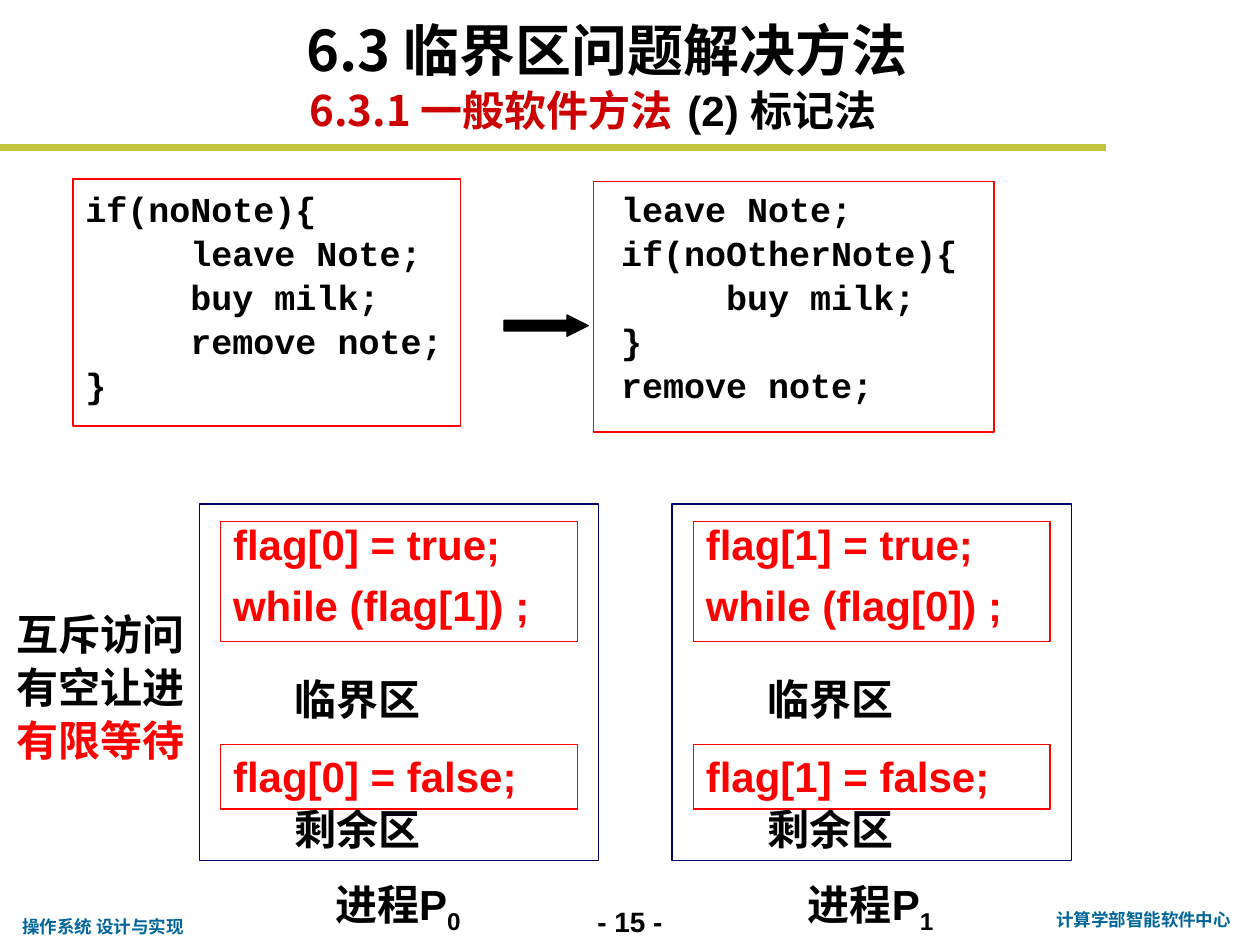
from dataclasses import dataclass

from lxml import etree
from pptx import Presentation
from pptx.dml.color import RGBColor
from pptx.enum.shapes import MSO_CONNECTOR, MSO_SHAPE
from pptx.enum.text import MSO_ANCHOR, MSO_AUTO_SIZE, PP_ALIGN
from pptx.oxml.ns import qn
from pptx.util import Cm, Pt

LEFT, CENTER = PP_ALIGN.LEFT, PP_ALIGN.CENTER
TOP, MIDDLE, BOTTOM = MSO_ANCHOR.TOP, MSO_ANCHOR.MIDDLE, MSO_ANCHOR.BOTTOM
RECTANGLE, RIGHT_ARROW = MSO_SHAPE.RECTANGLE, MSO_SHAPE.RIGHT_ARROW
STRAIGHT = MSO_CONNECTOR.STRAIGHT
NO_AUTOFIT = MSO_AUTO_SIZE.NONE


@dataclass(frozen=True)
class Theme:
    ink: str = "000000"
    red: str = "FF0000"
    dark_red: str = "CC0000"
    navy: str = "000066"
    footer: str = "006699"
    rule: str = "C1C43C"
    body_font: str = "Arial"
    code_font: str = "Courier New"
    title_font: str = "Noto Sans CJK SC"
    footer_font: str = "Roboto"
    title_size: int = 32
    body_size: int = 24
    code_size: int = 20
    page_size: int = 16
    footer_size: int = 10


class SlideBuilder:
    def __init__(self, slide, theme):
        self.slide = slide
        self.theme = theme

    def add_run(self, paragraph, text, color=None, font=None, size=None, baseline=None):
        run = paragraph.add_run()
        run.text = text
        run.font.name = font or self.theme.body_font
        run.font.size = Pt(size or self.theme.body_size)
        run.font.bold = True
        run.font.color.rgb = RGBColor.from_string(color or self.theme.ink)
        properties = run.font._element
        etree.SubElement(properties, qn("a:ea")).set("typeface", run.font.name)
        if baseline:
            properties.set("baseline", str(baseline * 1000))

    def fill_frame(self, frame, lines, align=LEFT, anchor=TOP, wrap=True,
                   spacing=1.0, gap=0, indent=0, tab=None):
        """Each line is a list of runs; each run is the arguments of add_run()."""
        frame.word_wrap = wrap
        frame.auto_size = NO_AUTOFIT
        frame.vertical_anchor = anchor
        for index, runs in enumerate(lines):
            paragraph = frame.paragraphs[0] if index == 0 else frame.add_paragraph()
            paragraph.alignment = align
            paragraph.line_spacing = spacing
            paragraph.space_before = Pt(gap if index else 0)
            properties = paragraph._p.get_or_add_pPr()
            properties.set("marL", str(Cm(indent)))
            properties.set("indent", "0")
            etree.SubElement(properties, qn("a:buNone"))
            if tab:
                stops = etree.SubElement(properties, qn("a:tabLst"))
                etree.SubElement(stops, qn("a:tab"), pos=str(Cm(tab)), algn="l")
            for run in runs:
                self.add_run(paragraph, *run)

    def placeholder(self, index, box, lines, **layout):
        holder = self.slide.placeholders[index]
        holder.left, holder.top, holder.width, holder.height = map(Cm, box)
        self.fill_frame(holder.text_frame, lines, **layout)

    def text(self, box, lines, **layout):
        frame = self.slide.shapes.add_textbox(*map(Cm, box)).text_frame
        self.fill_frame(frame, lines, **layout)

    def shape(self, box, line, kind=RECTANGLE, fill=None, lines=(), **layout):
        shape = self.slide.shapes.add_shape(kind, *map(Cm, box))
        shape.shadow.inherit = False
        if fill:
            shape.fill.solid()
            shape.fill.fore_color.rgb = RGBColor.from_string(fill)
        else:
            shape.fill.background()
        shape.line.color.rgb = RGBColor.from_string(line)
        shape.line.width = Pt(0.75)
        if lines:
            self.fill_frame(shape.text_frame, lines, **layout)
        return shape

    def rule(self, start, end, color, width):
        rule = self.slide.shapes.add_connector(STRAIGHT, *map(Cm, start + end))
        rule.line.color.rgb = RGBColor.from_string(color)
        rule.line.width = Pt(width)
        etree.SubElement(rule._element.spPr, qn("a:effectLst"))

    def code(self, text_box, frame_box, code_lines):
        theme = self.theme
        lines = [[(line, theme.ink, theme.code_font, theme.code_size)]
                 for line in code_lines]
        self.text(text_box, lines, spacing=1.05, indent=1.27)
        self.shape(frame_box, theme.red)

    def process(self, left, own, other):
        red = self.theme.red
        self.shape((left, 10.16, 8.05, 7.19), self.theme.navy)
        inner = left + 0.43
        self.shape((inner, 10.52, 7.19, 2.41), red, spacing=0.8, gap=12,
                   lines=[[(f"flag[{own}] = true;", red)],
                          [(f"while (flag[{other}]) ;", red)]])
        self.shape((inner, 15.01, 7.19, 1.3), red,
                   lines=[[(f"flag[{own}] = false;", red)]])
        for section, top in (("临界区", 13.46), ("剩余区", 16.08)):
            self.text((left + 0.86, top, 4.65, 1.27), [[(section,)]], align=CENTER)
        caption = [("进程P",), (str(own), None, None, None, -25)]
        self.text((left + 1.14, 17.58, 5.72, 1.27), [caption], align=CENTER)


def main():
    theme = Theme()
    presentation = Presentation()
    presentation.slide_width, presentation.slide_height = Cm(25.4), Cm(19.05)
    slide = presentation.slides.add_slide(presentation.slide_layouts[1])
    builder = SlideBuilder(slide, theme)

    # Heading
    builder.rule((0, 2.97), (22.3, 2.97), theme.rule, 4)
    builder.placeholder(
        0, (5.92, 0.2, 13.97, 1.6),
        [[("6.3 临界区问题解决方法", theme.ink, theme.title_font, theme.title_size)]],
        anchor=BOTTOM)
    builder.text(
        (5.99, 1.68, 17.07, 1.07),
        [[("6.3.1 一般软件方法\t", theme.dark_red, theme.title_font),
          ("(2) 标记法",)]],
        anchor=MIDDLE, tab=8.06)

    # Code before and after the change
    builder.code((0.2, 3.61, 9.09, 4.24), (1.47, 3.61, 7.82, 4.98),
                 ["if(noNote){", "     leave Note;", "     buy milk;",
                  "     remove note;", "}"])
    arrow = builder.shape((10.16, 6.35, 1.7, 0.43), theme.ink, RIGHT_ARROW, theme.ink)
    arrow.adjustments[1] = 1
    builder.code((11, 3.61, 9.73, 4.52), (11.96, 3.66, 8.08, 5.05),
                 ["leave Note;", "if(noOtherNote){", "     buy milk;",
                  "}", "remove note;"])

    # The two processes
    for own in (0, 1):
        builder.process(4.02 + 9.53 * own, own, 1 - own)

    # Requirements
    builder.placeholder(1, (0.08, 12.09, 4.24, 3.33),
                        [[("互斥访问",)], [("有空让进",)], [("有限等待", theme.red)]],
                        spacing=1.05)

    # Footer
    footer_style = (theme.footer, theme.footer_font, theme.footer_size)
    builder.text((0.2, 18.34, 3.81, 0.69), [[("操作系统 设计与实现", *footer_style)]],
                 wrap=False)
    builder.text((11.43, 18.11, 2.54, 0.94),
                 [[("- 15 -", theme.ink, theme.body_font, theme.page_size)]],
                 align=CENTER)
    builder.text((20.96, 18.21, 4.19, 0.69),
                 [[("计算学部智能软件中心", *footer_style)]], align=CENTER)

    presentation.save("out.pptx")


if __name__ == "__main__":
    main()
